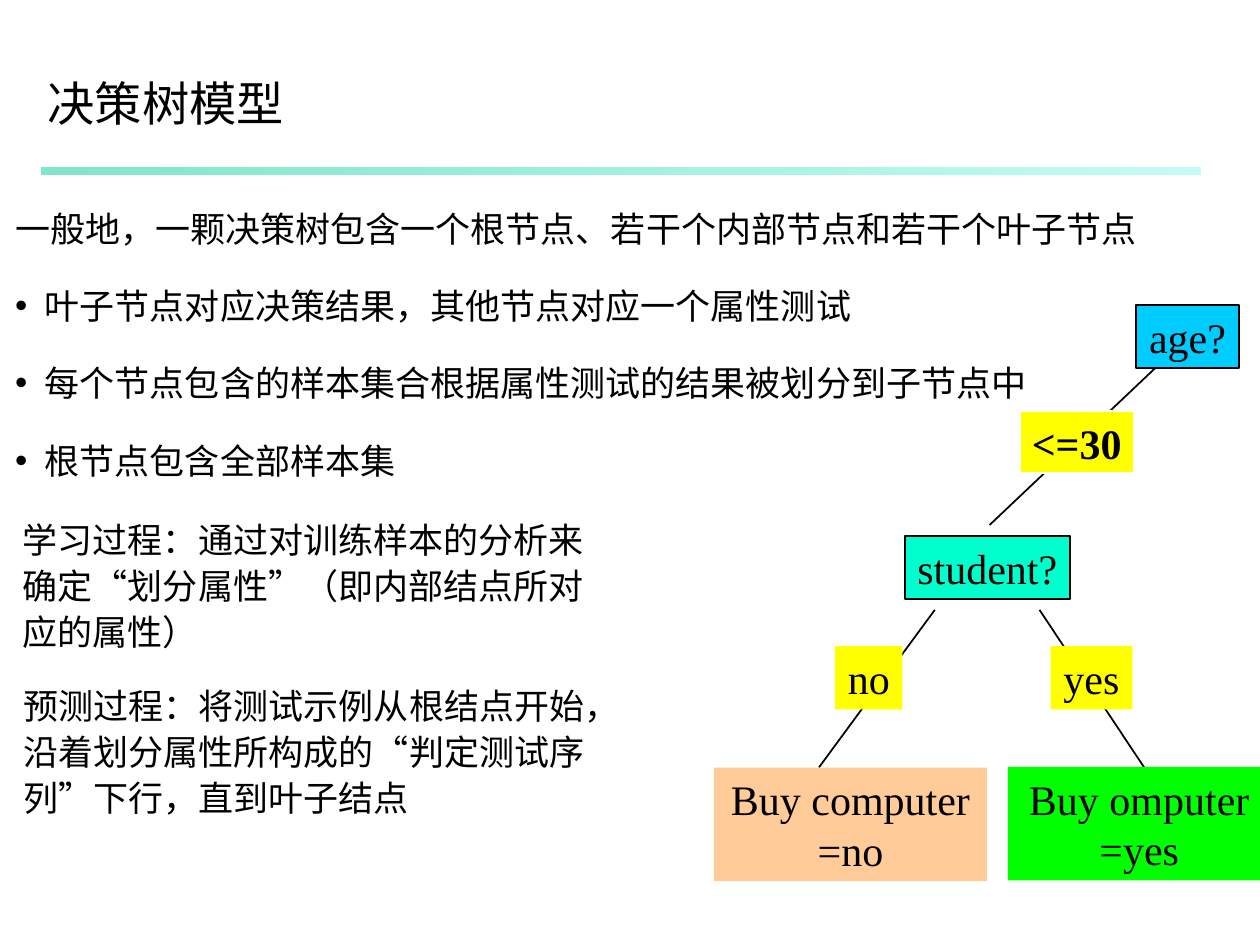
from lxml import etree
from pptx import Presentation
from pptx.dml.color import RGBColor
from pptx.enum import shapes, text
from pptx.oxml import ns
from pptx.util import Pt

COLORS = {
    "black": "000000", "white": "FFFFFF", "bar_start": "00CE98", "bar_end": "8FF9EF",
    "root": "00CCFF", "inner": "00FFCC", "branch": "FFFF00",
    "leaf_no": "FFCC99", "leaf_yes": "00FF00",
}
SANS, SERIF = "Noto Sans CJK SC", "Times New Roman"


def rgb(name):
    return RGBColor.from_string(COLORS[name])


def write(frame, lines, size=20, font=SANS, bold=False, align=text.PP_ALIGN.LEFT,
          spacings=(None,), gap=0, bullets_from=None, margins=(0, 0), wrap=False):
    """Fill a text frame with one paragraph per line; the last spacing repeats."""
    frame.word_wrap = wrap
    frame.auto_size = text.MSO_AUTO_SIZE.NONE
    frame.vertical_anchor = text.MSO_ANCHOR.TOP
    frame.margin_left = frame.margin_right = Pt(margins[0])
    frame.margin_top = frame.margin_bottom = Pt(margins[1])
    for index, line in enumerate(lines):
        paragraph = frame.paragraphs[0] if index == 0 else frame.add_paragraph()
        paragraph.alignment = align
        spacing = spacings[min(index, len(spacings) - 1)]
        paragraph.line_spacing = Pt(spacing) if spacing else 1.0
        paragraph.space_before = Pt(gap if index else 0)
        paragraph.space_after = Pt(0)
        properties = paragraph._p.get_or_add_pPr()
        bulleted = bullets_from is not None and index >= bullets_from
        indent = Pt(17) if bulleted else 0
        properties.set("marL", str(indent))
        properties.set("indent", str(-indent))
        if bulleted:
            etree.SubElement(properties, ns.qn("a:buFont")).set("typeface", "Arial")
            etree.SubElement(properties, ns.qn("a:buChar")).set("char", "•")
        else:
            etree.SubElement(properties, ns.qn("a:buNone"))
        run = paragraph.add_run()
        run.text = line
        run.font.size, run.font.bold, run.font.name = Pt(size), bold, font
        run.font.color.rgb = rgb("black")
        east_asian = etree.SubElement(run._r.get_or_add_rPr(), ns.qn("a:ea"))
        east_asian.set("typeface", font)


def place(shape, left, top, width, height):
    shape.left, shape.top, shape.width, shape.height = map(Pt, (left, top, width, height))


presentation = Presentation()
presentation.slide_width, presentation.slide_height = Pt(720), Pt(540)
slide = presentation.slides.add_slide(presentation.slide_layouts[1])

# Rule under the title
bar = slide.shapes.add_shape(shapes.MSO_SHAPE.RECTANGLE, Pt(23.5), Pt(95.5), Pt(662.5), Pt(4))
bar.shadow.inherit = False
bar.line.fill.background()
bar.fill.gradient()
bar.fill.gradient_angle = 0
for stop, color, alpha in zip(bar.fill.gradient_stops, ("bar_start", "bar_end"), (50, 52)):
    stop.color.rgb = rgb(color)
    color_element = stop._gs.find(ns.qn("a:srgbClr"))
    etree.SubElement(color_element, ns.qn("a:alpha")).set("val", str(alpha * 1000))

# Title and list
title, body = slide.placeholders
place(title, 27.2, 48, 135.5, 27)
write(title.text_frame, ["决策树模型"], size=27, spacings=(26.9,))
place(body, 8.6, 120.2, 641.5, 154.8)
write(body.text_frame, [
    "一般地，一颗决策树包含一个根节点、若干个内部节点和若干个叶子节点",
    "叶子节点对应决策结果，其他节点对应一个属性测试",
    "每个节点包含的样本集合根据属性测试的结果被划分到子节点中",
    "根节点包含全部样本集",
], spacings=(22.1,), gap=22.1, bullets_from=1)

# Learning and prediction notes
notes = [
    (13, 301, 320.4, ["学习过程：通过对训练样本的分析来",
                      "确定“划分属性”（即内部结点所对", "应的属性）"]),
    (13.4, 396, 340.6, ["预测过程：将测试示例从根结点开始，",
                        "沿着划分属性所构成的“判定测试序", "列”下行，直到叶子结点"]),
]
for left, top, width, lines in notes:
    box = slide.shapes.add_textbox(Pt(left), Pt(top), Pt(width), Pt(72))
    write(box.text_frame, lines, spacings=(19.2, 26.4))

# Tree edges, under the nodes
edges = [
    (660, 210.5, 565.5, 300),
    (534.2, 348.5, 468, 438.5),
    (594, 348.5, 653.8, 438.5),
]
for edge in edges:
    connector = slide.shapes.add_connector(shapes.MSO_CONNECTOR.STRAIGHT, *map(Pt, edge))
    connector.line.color.rgb = rgb("black")
    connector.line.width = Pt(1)
    etree.SubElement(connector._element.spPr, ns.qn("a:effectLst"))

# Tree nodes and branch labels: lines, left, top, width, height, fill, outline
nodes = [
    (["age?"], 649.2, 174.3, 58.8, 36.2, "root", "black"),
    (["<=30"], 582.8, 234.8, 65, 35.6, "branch", "white"),
    (["student?"], 517, 306.2, 94.4, 36.2, "inner", "black"),
    (["no"], 477.2, 369.2, 38.5, 36.2, "branch", None),
    (["yes"], 600.3, 369.2, 46.8, 36.2, "branch", None),
    (["Buy computer", "=no"], 408, 438.7, 156, 64.8, "leaf_no", None),
    (["Buy omputer =yes"], 576, 438.3, 150, 64.8, "leaf_yes", None),
]
for lines, left, top, width, height, fill, outline in nodes:
    node = slide.shapes.add_shape(
        shapes.MSO_SHAPE.RECTANGLE, Pt(left), Pt(top), Pt(width), Pt(height))
    node.shadow.inherit = False
    node.fill.solid()
    node.fill.fore_color.rgb = rgb(fill)
    if outline:
        node.line.color.rgb = rgb(outline)
        node.line.width = Pt(1)
    else:
        node.line.fill.background()
    write(node.text_frame, lines, size=24, font=SERIF, bold=outline == "white",
          align=text.PP_ALIGN.CENTER, margins=(7.2, 3.6), wrap=fill.startswith("leaf"))

presentation.save("out.pptx")
